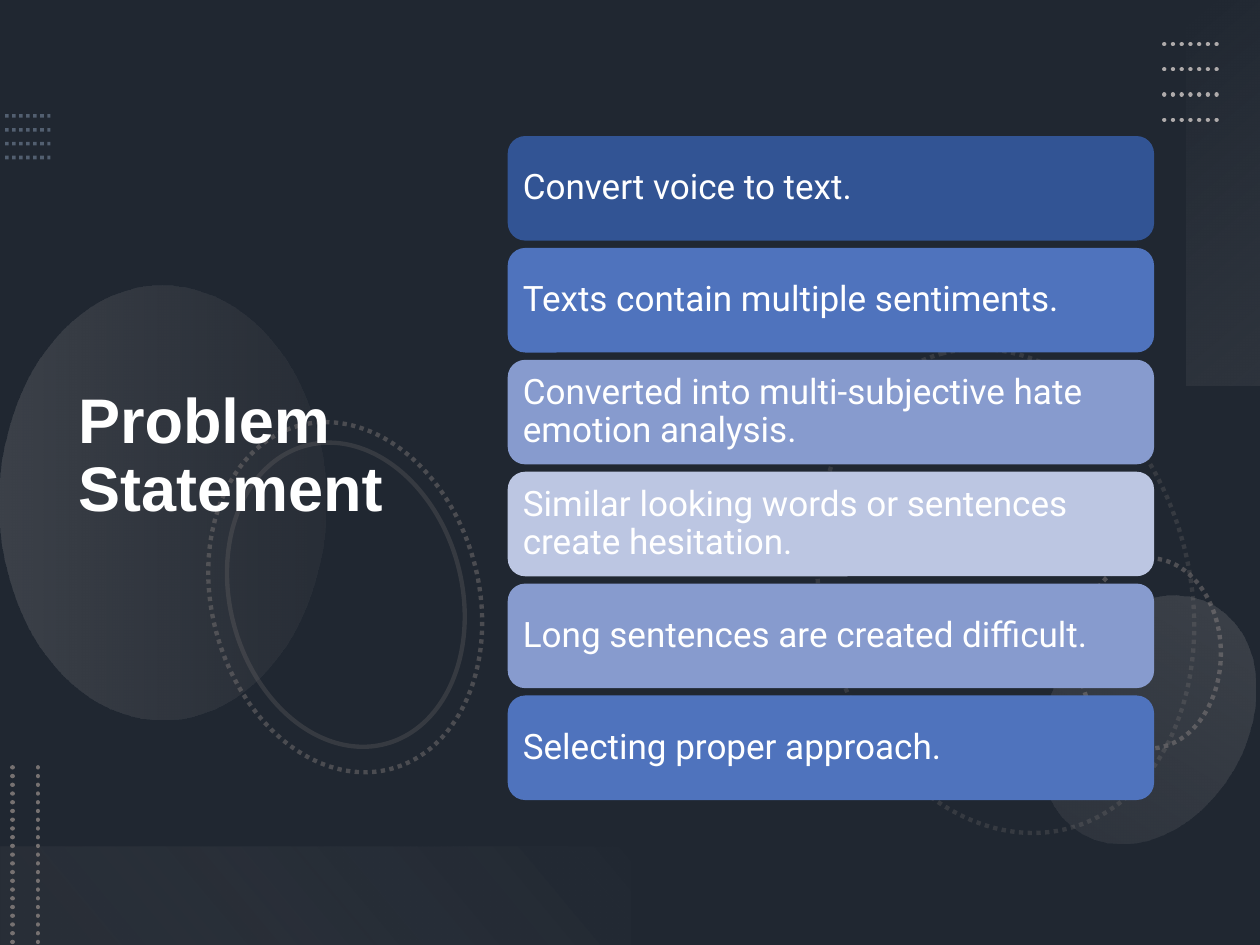
import pptx
import pptx.dml.color
import pptx.enum.dml
import pptx.enum.shapes
import pptx.enum.text
import pptx.oxml.ns
import pptx.oxml.xmlchemy
import pptx.util

Inches = pptx.util.Inches
Pt = pptx.util.Pt
SHAPE = pptx.enum.shapes.MSO_SHAPE
qn = pptx.oxml.ns.qn
new_element = pptx.oxml.xmlchemy.OxmlElement

COLORS = {
    "slate": "44546A", "black": "000000", "white": "FFFFFF",
    "steel": "8497B0", "gray": "767171", "silver": "AFABAB",
    "smoke": "F5F5F5", "mist": "F1F0F0",
    "navy": "325494", "blue": "4F73BD", "sky": "879BCE", "pale": "BCC6E2",
}

CARDS = [
    ("Convert voice to text.", "navy"),
    ("Texts contain multiple sentiments.", "blue"),
    ("Converted into multi-subjective hate emotion analysis.", "sky"),
    ("Similar looking words or sentences create hesitation.", "pale"),
    ("Long sentences are created difficult.", "sky"),
    ("Selecting proper approach.", "blue"),
]


def rgb(name):
    return pptx.dml.color.RGBColor.from_string(COLORS[name])


def apply(target, **values):
    for name, value in values.items():
        setattr(target, name, value)


def set_opacity(parent, *percents):
    """Give each colour inside parent, in order, its opacity."""
    for color, percent in zip(parent.iter(qn("a:srgbClr")), percents):
        alpha = new_element("a:alpha")
        alpha.set("val", str(percent * 1000))
        color.append(alpha)


def style_line(shape, color, width, opacity=100, dotted=True, cap="flat"):
    shape.line.color.rgb = rgb(color)
    shape.line.width = Pt(width)
    if dotted:
        shape.line.dash_style = pptx.enum.dml.MSO_LINE.ROUND_DOT
    outline = shape.element.spPr.find(qn("a:ln"))
    outline.set("cap", cap)
    set_opacity(outline, opacity)


def add_dots(page, start, end, color, width, opacity=100, cap="rnd"):
    ends = [Inches(value) for value in (*start, *end)]
    dots = page.shapes.add_connector(
        pptx.enum.shapes.MSO_CONNECTOR.STRAIGHT, *ends)
    style_line(dots, color, width, opacity, cap=cap)
    dots.element.spPr.append(new_element("a:effectLst"))


def add_plain_shape(page, kind, area, rotation=0):
    """Add a shape without shadow or line; its fill is left to the caller."""
    shape = page.shapes.add_shape(kind, *[Inches(value) for value in area])
    shape.rotation = rotation
    shape.shadow.inherit = False
    shape.line.fill.background()
    return shape


def add_ring(page, area, rotation, opacity, dotted=True):
    ring = add_plain_shape(page, SHAPE.OVAL, area, rotation)
    ring.fill.background()
    style_line(ring, "gray", 2.5, opacity, dotted)


def add_glow(page, kind, area, rotation, angle, *stops):
    """Add a translucent gradient; each stop is position, colour, opacity."""
    glow = add_plain_shape(page, kind, area, rotation)
    glow.fill.gradient()
    glow.fill.gradient_angle = 360 - angle
    for stop, (position, color, _) in zip(glow.fill.gradient_stops, stops):
        stop.position = position
        stop.color.rgb = rgb(color)
    set_opacity(glow.element.spPr, *[opacity for _, _, opacity in stops])


def add_backdrop(page):
    page.background.fill.solid()
    page.background.fill.fore_color.rgb = rgb("slate")
    shade = add_plain_shape(page, SHAPE.RECTANGLE, (0, 0, 10, 7.5))
    shade.fill.solid()
    shade.fill.fore_color.rgb = rgb("black")
    set_opacity(shade.element.spPr, 53)


def add_decoration(page):
    for row in range(4):
        y = 0.92 + 0.11 * row
        add_dots(page, (0.04, y), (0.4, y), "steel", 2, 50, "flat")

    add_ring(page, (6.03, 3.23, 3.9, 2.92), 75, 25)
    add_ring(page, (8.37, 4.62, 1.51, 1.13), 270, 55)
    add_glow(page, SHAPE.OVAL, (-0.43, 2.7, 3.44, 2.58), 270, 90,
             (0, "silver", 20), (1, "gray", 10))
    add_glow(page, SHAPE.OVAL, (8.33, 4.67, 1.56, 2.08), 210, 90,
             (0, "silver", 10), (1, "silver", 20))
    add_ring(page, (1.33, 3.68, 2.82, 2.12), 75, 50)
    add_ring(page, (1.52, 3.8, 2.45, 1.84), 75, 25, dotted=False)

    add_glow(page, SHAPE.RECTANGLE, (8.18, 1.24, 3.06, 0.58), 270, 140,
             (0, "smoke", 0), (1, "silver", 10))
    for row in range(4):
        y = 0.35 + 0.2 * row
        add_dots(page, (9.24, y), (9.69, y), "silver", 2.5)

    add_glow(page, SHAPE.RECTANGLE, (0, 6.72, 5, 0.78), 180, 140,
             (0.1, "gray", 10), (1, "mist", 0))
    for x in (0.3, 0.1):
        add_dots(page, (x, 6.09), (x, 7.5), "gray", 2.5)


def write(box, text, **font):
    frame = box.text_frame
    apply(frame, text=text, word_wrap=True,
          auto_size=pptx.enum.text.MSO_AUTO_SIZE.NONE,
          vertical_anchor=pptx.enum.text.MSO_ANCHOR.MIDDLE)
    para = frame.paragraphs[0]
    apply(para, alignment=pptx.enum.text.PP_ALIGN.LEFT, line_spacing=0.9)
    span = para.runs[0]
    apply(span.font, **font)
    span.font.color.rgb = rgb("white")


def add_title(page):
    title = page.shapes.title
    apply(title, left=Inches(0.52), top=Inches(0.54),
          width=Inches(3.44), height=Inches(6.17))
    write(title, "Problem Statement", name="Arial", size=Pt(36), bold=True)
    # Bring the title in front of the backdrop.
    title.element.getparent().append(title.element)


def add_cards(page):
    first_top, last_top = 1.08, 5.52
    pitch = (last_top - first_top) / (len(CARDS) - 1)
    for row, (text, color) in enumerate(CARDS):
        area = (4.03, first_top + pitch * row, 5.13, 0.83)
        card = add_plain_shape(page, SHAPE.ROUNDED_RECTANGLE, area)
        card.fill.solid()
        card.fill.fore_color.rgb = rgb(color)
        margins = ("left", "top", "right", "bottom")
        apply(card.text_frame,
              **{f"margin_{side}": Inches(0.08) for side in margins})
        write(card, text, name="Roboto", size=Pt(20))


def main():
    deck = pptx.Presentation()
    apply(deck, slide_width=Inches(10), slide_height=Inches(7.5))
    title_only = deck.slide_layouts[5]
    page = deck.slides.add_slide(title_only)
    add_backdrop(page)
    add_decoration(page)
    add_title(page)
    add_cards(page)
    deck.save("out.pptx")


if __name__ == "__main__":
    main()
